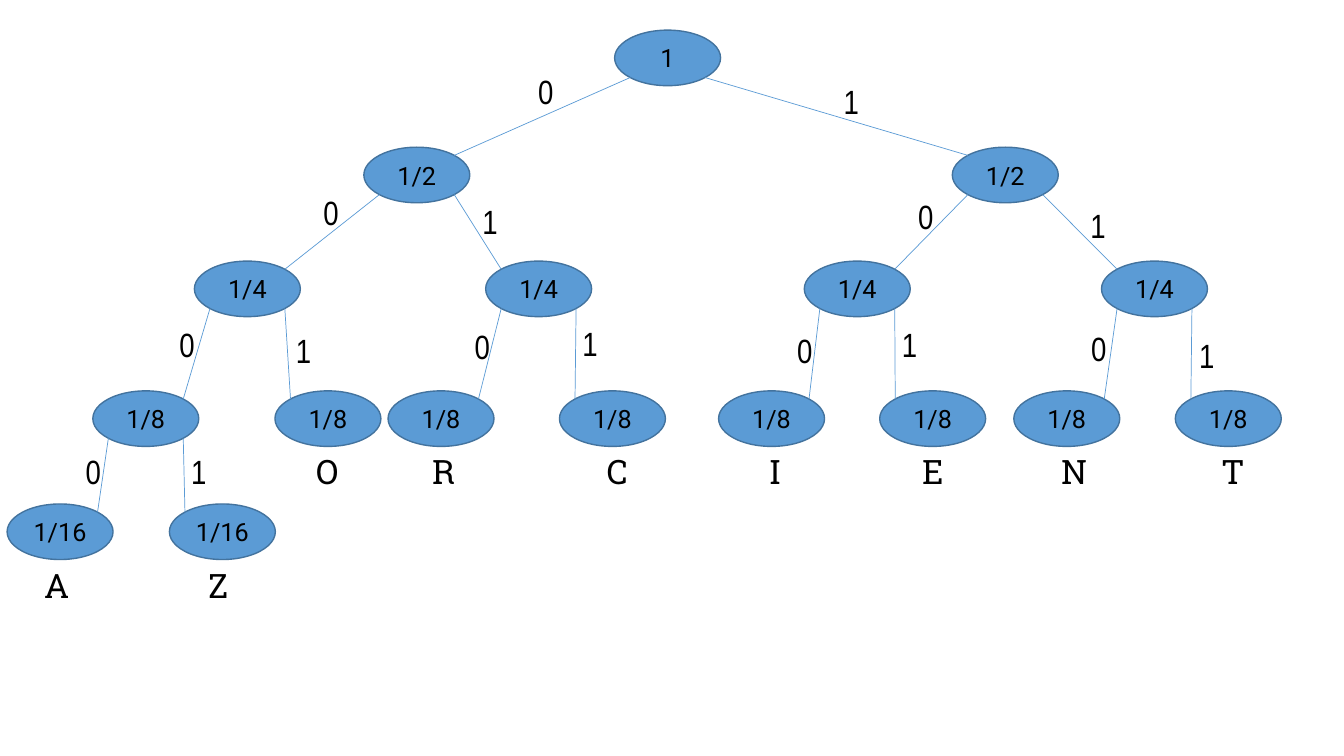
from dataclasses import dataclass
from math import cos, pi

from lxml.etree import SubElement
from pptx import Presentation
from pptx.dml.color import RGBColor
from pptx.enum.shapes import MSO_CONNECTOR, MSO_SHAPE
from pptx.enum.text import MSO_ANCHOR, MSO_AUTO_SIZE, PP_ALIGN
from pptx.oxml.ns import qn
from pptx.slide import Slide
from pptx.text.text import TextFrame
from pptx.util import Cm, Pt


@dataclass(frozen=True)
class Theme:
    """Colours, fonts and type sizes of the slide."""
    node_fill: RGBColor = RGBColor(0x5B, 0x9B, 0xD5)
    node_border: RGBColor = RGBColor(0x43, 0x73, 0x9E)
    text: RGBColor = RGBColor(0, 0, 0)
    weight_font: str = "Roboto"
    bit_font: str = "Arial Narrow"
    letter_font: str = "Roboto Slab"
    weight_size: Pt = Pt(18)
    label_size: Pt = Pt(24)
    border_width: Pt = Pt(1)
    branch_width: Pt = Pt(0.5)


@dataclass(frozen=True)
class Node:
    """A tree node named by its prefix code; lengths are centimetres."""
    code: str
    left: float
    bit_left: float = 0
    bit_top: float = 0
    letter: str = ""
    letter_left: float = 0

    @property
    def top(self) -> float:
        """Top of the level the node is on."""
        return LEVEL_TOPS[len(self.code)]

    @property
    def weight(self) -> str:
        """Probability of the node, halved at each level."""
        return f"1/{2 ** len(self.code)}" if self.code else "1"

    def corner(self, side: int, end: int) -> tuple[Cm, Cm]:
        """Diagonal point of the ellipse: side -1 left, 1 right; end -1 top, 1 bottom."""
        reach = cos(pi / 4)
        return (Cm(self.left + NODE_WIDTH / 2 * (1 + side * reach)),
                Cm(self.top + NODE_HEIGHT / 2 * (1 + end * reach)))


THEME = Theme()
NODE_WIDTH, NODE_HEIGHT = 2.67, 1.4
LEVEL_TOPS = (0.76, 3.71, 6.58, 9.85, 12.7)
LABEL_HEIGHT = 1.28
BIT_WIDTHS = {"0": 0.86, "1": 1.55}
LETTER_WIDTH = 1.45

NODES = (
    Node("", 15.49),
    Node("0", 9.17, 13.31, 1.65),
    Node("1", 24.0, 21.01, 1.91),
    Node("00", 4.9, 7.9, 4.72),
    Node("01", 12.24, 11.91, 4.95),
    Node("10", 20.27, 22.89, 4.8),
    Node("11", 27.76, 27.23, 5.05),
    Node("000", 2.34, 4.27, 8.03),
    Node("001", 6.93, 7.21, 8.18, "O", 7.72),
    Node("010", 9.78, 11.71, 8.1, "R", 10.64),
    Node("011", 14.1, 14.43, 8.0, "C", 15.04),
    Node("100", 18.11, 19.84, 8.18, "I", 19.13),
    Node("101", 22.17, 22.48, 8.03, "E", 22.99),
    Node("110", 25.55, 27.25, 8.13, "N", 26.49),
    Node("111", 29.62, 29.97, 8.31, "T", 30.53),
    Node("0000", 0.18, 1.91, 11.25, "A", 0.86),
    Node("0001", 4.27, 4.57, 11.25, "Z", 5.0),
)


def write_text(frame: TextFrame, text: str, font: str, size: Pt, alignment: PP_ALIGN) -> None:
    """Put one formatted line into a text frame."""
    paragraph = frame.paragraphs[0]
    paragraph.alignment = alignment
    run = paragraph.add_run()
    run.text = text
    for name, value in {"name": font, "size": size}.items():
        setattr(run.font, name, value)
    run.font.color.rgb = THEME.text


def add_node(slide: Slide, node: Node) -> None:
    """Draw a node as an ellipse holding its weight."""
    shape = slide.shapes.add_shape(MSO_SHAPE.OVAL, Cm(node.left), Cm(node.top),
                                   Cm(NODE_WIDTH), Cm(NODE_HEIGHT))
    shape.shadow.inherit = False
    shape.fill.solid()
    shape.fill.fore_color.rgb = THEME.node_fill
    shape.line.color.rgb = THEME.node_border
    shape.line.width = THEME.border_width
    frame_format = {"word_wrap": False, "vertical_anchor": MSO_ANCHOR.MIDDLE}
    for name, value in frame_format.items():
        setattr(shape.text_frame, name, value)
    write_text(shape.text_frame, node.weight, THEME.weight_font, THEME.weight_size, PP_ALIGN.CENTER)


def add_label(slide: Slide, text: str, left: float, top: float, width: float, font: str) -> None:
    """Draw a branch bit or a leaf letter."""
    shape = slide.shapes.add_textbox(Cm(left), Cm(top), Cm(width), Cm(LABEL_HEIGHT))
    frame_format = {"word_wrap": True, "auto_size": MSO_AUTO_SIZE.SHAPE_TO_FIT_TEXT}
    for name, value in frame_format.items():
        setattr(shape.text_frame, name, value)
    write_text(shape.text_frame, text, font, THEME.label_size, PP_ALIGN.LEFT)


def add_branch(slide: Slide, parent: Node, child: Node) -> None:
    """Join the parent to a child; bit 0 leads left and bit 1 leads right."""
    side = -1 if child.code.endswith("0") else 1
    connector = slide.shapes.add_connector(
        MSO_CONNECTOR.STRAIGHT, *parent.corner(side, 1), *child.corner(-side, -1))
    connector.line.color.rgb = THEME.node_fill
    connector.line.width = THEME.branch_width
    SubElement(connector._element.spPr, qn("a:effectLst"))


def build_tree(slide: Slide) -> None:
    """Draw the nodes and letters, then the branches and their bits."""
    by_code = {node.code: node for node in NODES}
    for node in NODES:
        add_node(slide, node)
        if node.letter:
            add_label(slide, node.letter, node.letter_left, node.top + NODE_HEIGHT,
                      LETTER_WIDTH, THEME.letter_font)
    for node in NODES[1:]:
        bit = node.code[-1]
        add_branch(slide, by_code[node.code[:-1]], node)
        add_label(slide, bit, node.bit_left, node.bit_top, BIT_WIDTHS[bit], THEME.bit_font)


def main() -> None:
    """Create and save the presentation."""
    presentation = Presentation()
    presentation.slide_width, presentation.slide_height = Cm(33.87), Cm(19.05)
    build_tree(presentation.slides.add_slide(presentation.slide_layouts[6]))
    presentation.save("out.pptx")


main()
